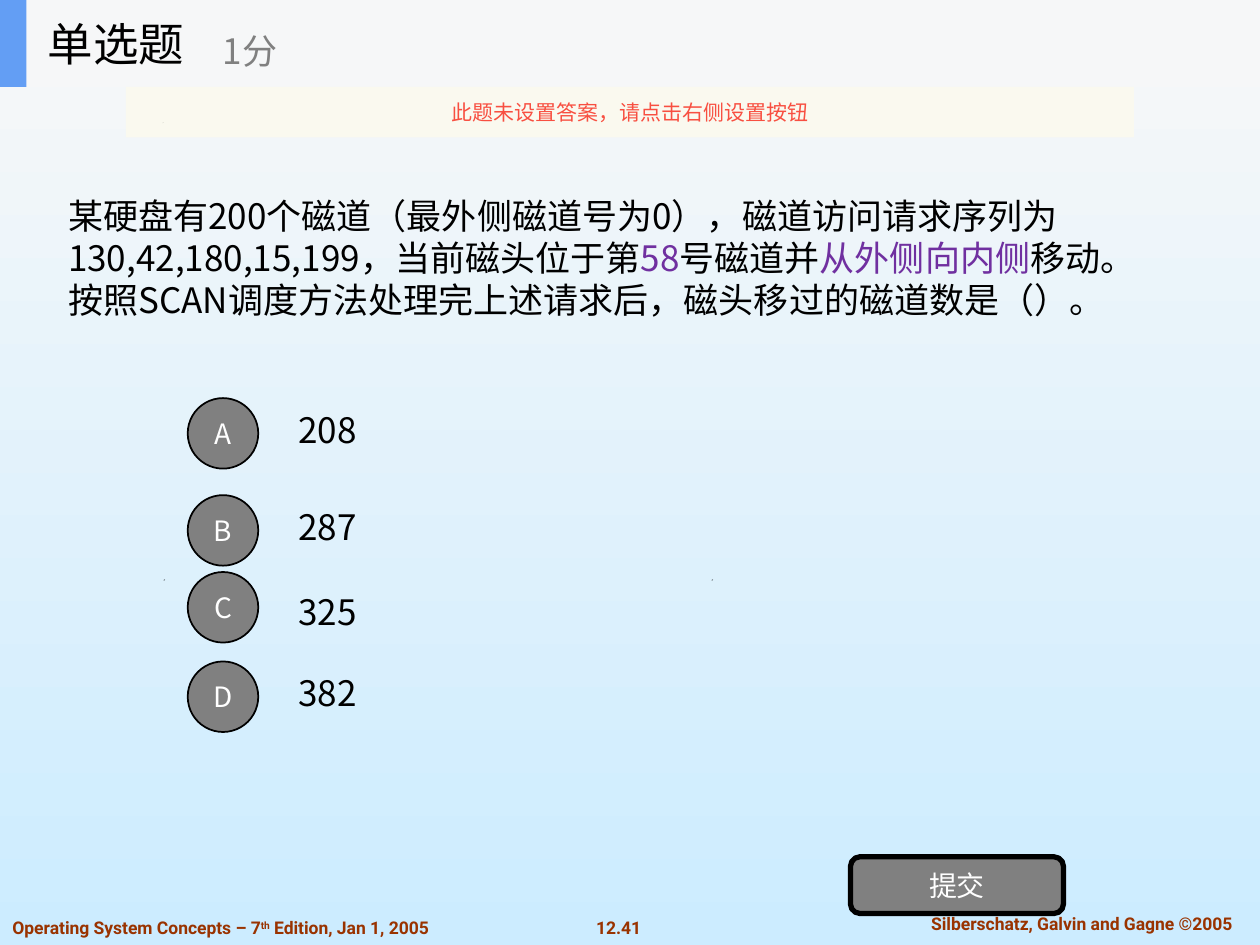
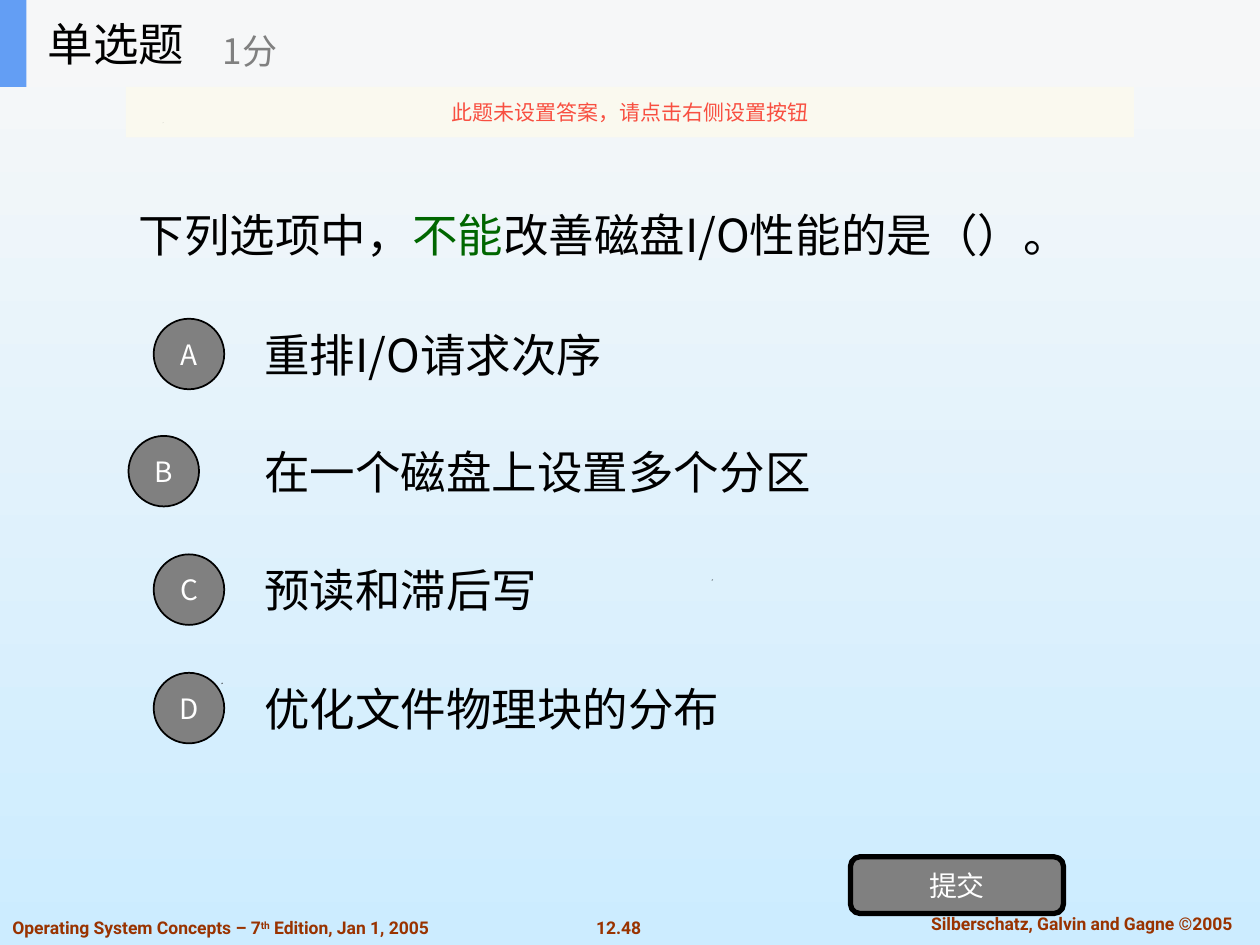
from dataclasses import dataclass

from lxml.etree import SubElement
from pptx import Presentation
from pptx.dml.color import RGBColor
from pptx.enum.shapes import MSO_SHAPE
from pptx.enum.text import MSO_ANCHOR, MSO_AUTO_SIZE, PP_ALIGN
from pptx.oxml.ns import qn
from pptx.util import Inches, Pt

COLORS = {
    "black": "000000", "white": "FFFFFF", "gray": "808080", "band": "F6F7F8",
    "accent": "639EF4", "notice": "FBFAEF", "alert": "F84F41", "footer": "993300",
    "purple": "7030A0", "green": "006600", "sky_top": "F8F8F8", "sky_bottom": "CCECFF",
}
CJK = "Noto Sans CJK SC"
LATIN = "Roboto"
CIRCLE = 0.56
CIRCLE_DROP = 0.07
SPECKS = [(1.76, 5.42), (1.3, 4.6), (5.65, 4.6), (1.29, 0.97)]


@dataclass(frozen=True)
class Span:
    text: str
    color: str = "black"
    baseline: int = 0


@dataclass(frozen=True)
class Box:
    left: float
    top: float
    width: float
    height: float

    def emu(self) -> list:
        return [Inches(v) for v in (self.left, self.top, self.width, self.height)]


@dataclass(frozen=True)
class Style:
    size: int
    font: str = CJK
    bold: bool = False
    align: PP_ALIGN = PP_ALIGN.LEFT
    anchor: MSO_ANCHOR = MSO_ANCHOR.MIDDLE
    wrap: bool = True


@dataclass(frozen=True)
class Option:
    letter: str
    text: str
    top: float
    shift_x: float = 0
    shift_y: float = 0


@dataclass(frozen=True)
class Question:
    number: str
    box: Box
    size: int
    paragraphs: list
    options: list
    circle_left: float
    text_left: float
    text_width: float
    text_height: float


FOOTER = Style(10, LATIN, True, anchor=MSO_ANCHOR.TOP, wrap=False)
FOOTER_CENTER = Style(10, LATIN, True, PP_ALIGN.CENTER, MSO_ANCHOR.TOP, False)
LABEL = Style(16, align=PP_ALIGN.CENTER, wrap=False)
NOTICE = Style(12, align=PP_ALIGN.CENTER, wrap=False)

QUESTIONS = [
    Question(
        "12.41", Box(0.44, 1.29, 9.11, 1.51), 20,
        [
            [
                Span("某硬盘有200个磁道（最外侧磁道号为0），磁道访问请求序列为"
                     "130,42,180,15,199，当前磁头位于第"),
                Span("58", "purple"), Span("号磁道并"),
                Span("从外侧向内侧", "purple"), Span("移动。"),
            ],
            [Span("按照SCAN调度方法处理完上述请求后，磁头移过的磁道数是（）。")],
        ],
        [
            Option("A", "208", 3.09), Option("B", "287", 3.86),
            Option("C", "325", 4.54, shift_y=-CIRCLE_DROP), Option("D", "382", 5.18),
        ],
        1.49, 2.27, 1.76, 0.63,
    ),
    Question(
        "12.48", Box(1, 0.69, 8, 2.34), 26,
        [[Span("下列选项中，"), Span("不能", "green"), Span("改善磁盘I/O性能的是（）。")]],
        [
            Option("A", "重排I/O请求次序", 2.46),
            Option("B", "在一个磁盘上设置多个分区", 3.39, shift_x=-0.2),
            Option("C", "预读和滞后写", 4.33), Option("D", "优化文件物理块的分布", 5.27),
        ],
        1.22, 2, 7, 0.7,
    ),
]


def rgb(name: str) -> RGBColor:
    return RGBColor.from_string(COLORS[name])


def write(shape, paragraphs: list, style: Style) -> None:
    tf = shape.text_frame
    tf.word_wrap = style.wrap
    tf.auto_size = MSO_AUTO_SIZE.NONE
    tf.vertical_anchor = style.anchor
    for i, spans in enumerate(paragraphs):
        p = tf.add_paragraph() if i else tf.paragraphs[0]
        p.alignment = style.align
        p.space_before = Pt(0)
        if shape.is_placeholder:
            pPr = p._p.get_or_add_pPr()
            pPr.set("marL", "0")
            pPr.set("indent", "0")
            SubElement(pPr, qn("a:buNone"))
        for span in spans:
            r = p.add_run()
            r.text = span.text
            r.font.size = Pt(style.size)
            r.font.bold = style.bold
            r.font.name = style.font
            r.font.color.rgb = rgb(span.color)
            rPr = r._r.get_or_add_rPr()
            SubElement(rPr, qn("a:ea")).set("typeface", style.font)
            if span.baseline:
                rPr.set("baseline", str(span.baseline * 1000))


def place(shape, box: Box) -> None:
    shape.left, shape.top, shape.width, shape.height = box.emu()


def add_text(s, box: Box, spans: list, style: Style) -> None:
    write(s.shapes.add_textbox(*box.emu()), [spans], style)


def paint(shape, fill: str, line_width: float = 0) -> None:
    shape.shadow.inherit = False
    shape.fill.solid()
    shape.fill.fore_color.rgb = rgb(fill)
    if line_width:
        shape.line.color.rgb = rgb("black")
        shape.line.width = Pt(line_width)
    else:
        shape.line.fill.background()


def add_block(s, kind: MSO_SHAPE, box: Box, fill: str, line_width: float = 0):
    sp = s.shapes.add_shape(kind, *box.emu())
    paint(sp, fill, line_width)
    return sp


def add_backdrop(s, number: str) -> None:
    fill = s.background.fill
    fill.gradient()
    fill.gradient_angle = 270
    for stop, color in zip(fill.gradient_stops, ("sky_top", "sky_bottom")):
        stop.color.rgb = rgb(color)
    for x, y in SPECKS:
        builder = s.shapes.build_freeform(Inches(x), Inches(y + 0.01))
        builder.add_line_segments(
            [(Inches(x + 0.01), Inches(y)), (Inches(x), Inches(y))], close=True)
        paint(builder.convert_to_shape(), "black")
    add_text(s, Box(4.63, 7.23, 0.56, 0.27), [Span(number, "footer")], FOOTER_CENTER)
    add_text(s, Box(7.1, 7.2, 2.97, 0.27),
             [Span("Silberschatz, Galvin and Gagne ©2005", "footer")], FOOTER_CENTER)
    add_text(s, Box(0, 7.23, 3.69, 0.27),
             [Span("Operating System Concepts – 7", "footer"), Span("th", "footer", 30),
              Span(" Edition, Jan 1, 2005", "footer")], FOOTER)


def add_header(s) -> None:
    add_block(s, MSO_SHAPE.RECTANGLE, Box(0, 0, 10, 0.69), "band")
    add_block(s, MSO_SHAPE.RECTANGLE, Box(0, 0, 0.21, 0.69), "accent")
    title = s.shapes.title
    place(title, Box(0.28, 0, 2.08, 0.69))
    write(title, [[Span("单选题")]], Style(26))
    title.element.getparent().append(title.element)
    add_text(s, Box(1.67, 0.12, 2.5, 0.56), [Span("1分", "gray")], Style(20))
    notice = add_block(s, MSO_SHAPE.RECTANGLE, Box(1, 0.69, 8, 0.4), "notice")
    color = notice.fill._xPr.find(qn("a:solidFill"))[0]
    SubElement(color, qn("a:alpha")).set("val", "90000")
    write(notice, [[Span("此题未设置答案，请点击右侧设置按钮", "alert")]], NOTICE)


def add_options(s, q: Question) -> None:
    for option in q.options:
        add_text(s, Box(q.text_left, option.top, q.text_width, q.text_height),
                 [Span(option.text)], Style(q.size))
        box = Box(q.circle_left + option.shift_x,
                  option.top + CIRCLE_DROP + option.shift_y, CIRCLE, CIRCLE)
        circle = add_block(s, MSO_SHAPE.OVAL, box, "gray", 1)
        write(circle, [[Span(option.letter, "white")]], LABEL)


def add_question(prs, q: Question) -> None:
    s = prs.slides.add_slide(prs.slide_layouts[1])
    add_backdrop(s, q.number)
    body = s.placeholders[1]
    place(body, q.box)
    write(body, q.paragraphs, Style(q.size))
    add_options(s, q)
    button = add_block(s, MSO_SHAPE.ROUNDED_RECTANGLE, Box(6.75, 6.8, 1.69, 0.45), "gray", 3)
    write(button, [[Span("提交", "white")]], LABEL)
    add_header(s)


def main() -> None:
    prs = Presentation()
    prs.slide_width, prs.slide_height = Inches(10), Inches(7.5)
    for q in QUESTIONS:
        add_question(prs, q)
    prs.save("out.pptx")


if __name__ == "__main__":
    main()
